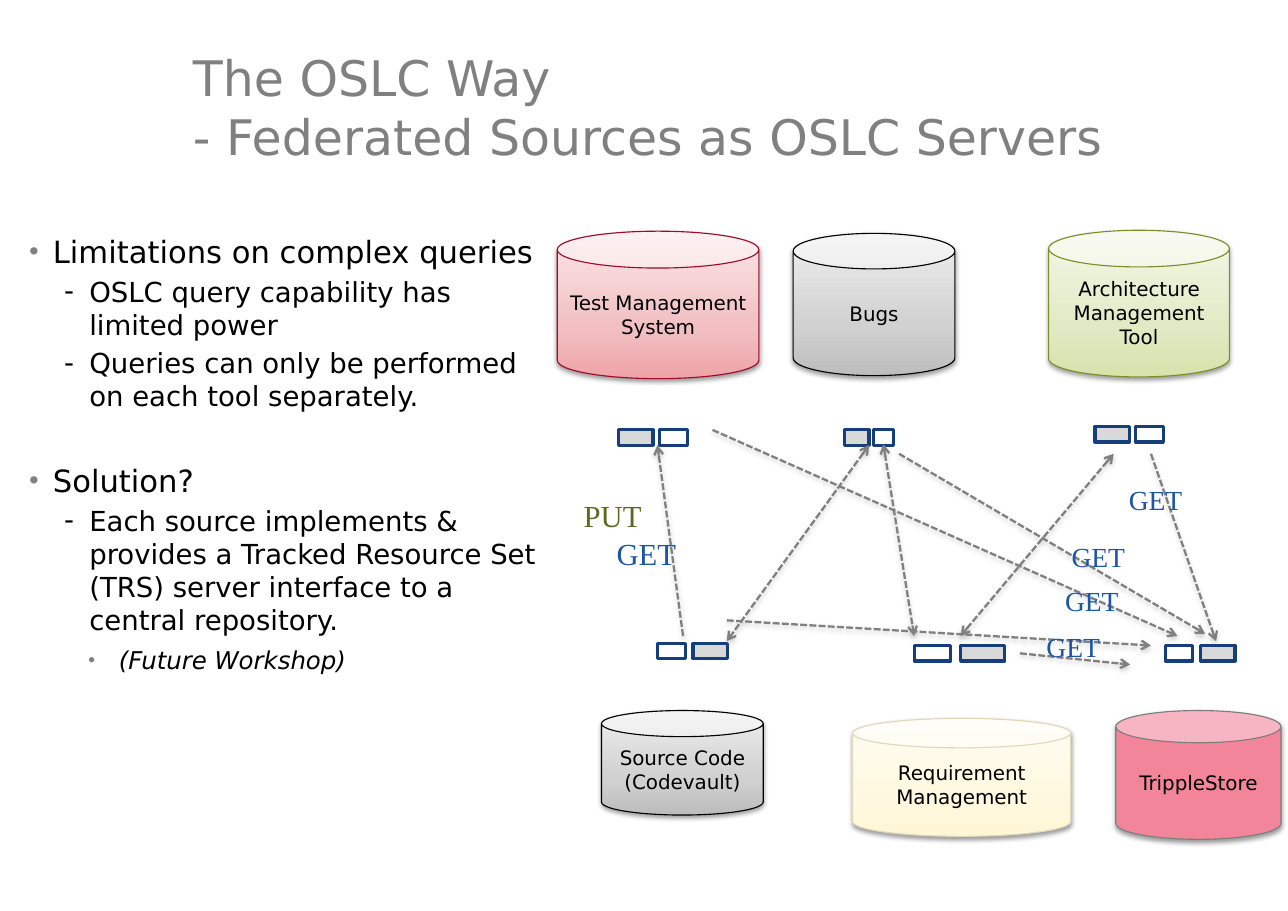
from copy import deepcopy

from pptx import Presentation
from pptx import util as u
from pptx.dml.color import RGBColor
from pptx.enum import dml, shapes, text
from pptx.oxml import parse_xml
from pptx.oxml.ns import nsdecls, qn

SANS, SERIF = "DejaVu Sans", "Times New Roman"
BLACK = RGBColor(0x00, 0x00, 0x00)
WHITE = RGBColor(0xFF, 0xFF, 0xFF)
GREY = RGBColor(0x80, 0x80, 0x80)
LIGHT_GREY = RGBColor(0xD9, 0xD9, 0xD9)
NAVY = RGBColor(0x15, 0x3E, 0x7B)
BLUE = RGBColor(0x1C, 0x54, 0xA6)
OLIVE = RGBColor(0x5F, 0x6A, 0x20)
CRIMSON = RGBColor(0x9D, 0x0C, 0x2A)
MOSS = RGBColor(0x7E, 0x8D, 0x28)
SAND = RGBColor(0xDF, 0xD8, 0xBB)
STONE = RGBColor(0x7D, 0x7D, 0x7D)
# Can fills, from bottom to top
SILVERS = RGBColor(0xBD, 0xBD, 0xBD), RGBColor(0xD1, 0xD1, 0xD1), RGBColor(0xEE, 0xEE, 0xEE)
REDS = RGBColor(0xEE, 0xA4, 0xA8), RGBColor(0xF2, 0xC0, 0xC3), RGBColor(0xFB, 0xE6, 0xE7)
GREENS = RGBColor(0xD6, 0xE3, 0xAB), RGBColor(0xE2, 0xEA, 0xC5), RGBColor(0xF4, 0xF8, 0xE8)
CREAMS = RGBColor(0xFF, 0xF6, 0xD5), RGBColor(0xFF, 0xF8, 0xE0), RGBColor(0xFF, 0xFC, 0xF3)
PINKS = (RGBColor(0xF3, 0x85, 0x9B),)

# Bullet levels: left margin, hanging indent, mark, text format
LEVELS = [
    (0.56, 0.56, "•", {"size": u.Pt(20)}),
    (1.4, 0.58, "-", {"size": u.Pt(18)}),
    (2.08, 0.71, "•", {"size": u.Pt(16), "italic": True}),
]
# Level, space before in points, wording
POINTS = [
    (0, 0, "Limitations on complex queries"),
    (1, 3.6, "OSLC query capability has limited power"),
    (1, 3.6, "Queries can only be performed on each tool separately."),
    (0, 32, "Solution?"),
    (1, 3.6, "Each source implements & provides a Tracked Resource Set (TRS) "
             "server interface to a central repository."),
    (2, 6, "(Future Workshop)"),
]
# Left, top, width, height, fills, outline, wording
CANS = [
    (0.05, 0.03, 4.65, 3.4, REDS, CRIMSON, "Test Management System"),
    (5.49, 0.08, 3.73, 3.28, SILVERS, BLACK, "Bugs"),
    (11.38, 0.01, 4.17, 3.38, GREENS, MOSS, "Architecture Management Tool"),
    (1.07, 11.08, 3.73, 2.41, SILVERS, BLACK, "Source Code\n(Codevault)"),
    (6.86, 11.26, 5.03, 2.72, CREAMS, SAND, "Requirement Management"),
    (12.93, 11.08, 3.81, 2.97, PINKS, STONE, "TrippleStore"),
]
# Left, top, gap, then width and fill of the two ports
PORTS = [
    (1.47, 4.61, 0.15, (0.79, LIGHT_GREY), (0.64, WHITE)),
    (6.68, 4.61, 0.1, (0.56, LIGHT_GREY), (0.46, WHITE)),
    (12.45, 4.53, 0.15, (0.79, LIGHT_GREY), (0.64, WHITE)),
    (2.36, 9.53, 0.18, (0.64, WHITE), (0.79, LIGHT_GREY)),
    (8.28, 9.58, 0.23, (0.84, WHITE), (1.02, LIGHT_GREY)),
    (14.07, 9.58, 0.18, (0.64, WHITE), (0.79, LIGHT_GREY)),
]
# From, to, arrowheads
ONE_WAY, TWO_WAY = ("tailEnd",), ("headEnd", "tailEnd")
ARROWS = [
    (2.95, 9.36, 2.36, 4.96, ONE_WAY),
    (7.24, 4.96, 3.96, 9.48, TWO_WAY),
    (12.88, 5.16, 9.35, 9.36, TWO_WAY),
    (13.74, 5.16, 15.24, 9.48, ONE_WAY),
    (7.57, 4.94, 8.28, 9.36, TWO_WAY),
    (7.93, 5.16, 14.99, 9.31, ONE_WAY),
    (10.72, 9.76, 13.26, 10.02, ONE_WAY),
    (3.96, 9, 13.74, 9.58, ONE_WAY),
    (3.63, 4.61, 14.35, 9.36, ONE_WAY),
]
# Left, top, wording, size, colour
CALLS = [
    (12.98, 5.7, "GET", 18, BLUE),
    (11.66, 7.02, "GET", 18, BLUE),
    (11.51, 8.04, "GET", 18, BLUE),
    (11.08, 9.1, "GET", 18, BLUE),
    (0.41, 6.03, "PUT", 20, OLIVE),
    (1.17, 6.89, "GET", 20, BLUE),
]


def apply(target, values):
    for name, value in values.items():
        setattr(target, name, value)


def set_font(span, color, **values):
    apply(span.font, values)
    span.font.color.rgb = color


def set_frame(frame, left, top, right, bottom, **values):
    sides = {"margin_left": left, "margin_top": top, "margin_right": right, "margin_bottom": bottom}
    apply(frame, {name: u.Cm(size) for name, size in sides.items()})
    apply(frame, {"word_wrap": True, "auto_size": text.MSO_AUTO_SIZE.NONE, **values})


def add_shadow(properties, color):
    """Put a soft downward shadow into the shape properties."""
    for empty in properties.findall(qn("a:effectLst")):
        properties.remove(empty)
    properties.append(parse_xml(
        f'<a:effectLst {nsdecls("a")}><a:outerShdw blurRad="40000" dist="20000" dir="5400000" '
        f'rotWithShape="0"><a:srgbClr val="{color}"><a:alpha val="38000"/></a:srgbClr>'
        '</a:outerShdw></a:effectLst>'))


def add_bullet(para, level):
    margin, hang, mark, _ = LEVELS[level]
    properties = para._p.get_or_add_pPr()
    properties.set("marL", str(u.Cm(margin)))
    properties.set("indent", str(-u.Cm(hang)))
    color, face = (GREY, SERIF) if mark == "•" else (BLACK, SANS)
    percent = 90 if level == 2 else 100
    for bullet in (f'<a:buClr {nsdecls("a")}><a:srgbClr val="{color}"/></a:buClr>',
                   f'<a:buSzPct {nsdecls("a")} val="{percent * 1000}"/>',
                   f'<a:buFont {nsdecls("a")} typeface="{face}"/>',
                   f'<a:buChar {nsdecls("a")} char="{mark}"/>'):
        properties.append(parse_xml(bullet))


def write_title(page, box):
    title = page.shapes.title
    apply(title, dict(zip(("left", "top", "width", "height"), map(u.Cm, box))))
    set_frame(title.text_frame, 0, 0.15, 0.28, 0.15, vertical_anchor=text.MSO_ANCHOR.MIDDLE)
    title.text_frame.text = "The OSLC Way\v- Federated Sources as OSLC Servers"
    para = title.text_frame.paragraphs[0]
    para.alignment = text.PP_ALIGN.LEFT
    for span in para.runs:
        set_font(span, GREY, name=SANS, size=u.Pt(32))


def write_points(page, box):
    frame = page.shapes.add_textbox(*map(u.Cm, box)).text_frame
    set_frame(frame, 0, 0.13, 0.25, 0.13)
    for number, (level, space, wording) in enumerate(POINTS):
        para = frame.add_paragraph() if number else frame.paragraphs[0]
        add_bullet(para, level)
        apply(para, {"level": level, "space_before": u.Pt(space)})
        span = para.add_run()
        span.text = wording
        set_font(span, BLACK, name=SANS, **LEVELS[level][3])


def fill_can(can, fills):
    if len(fills) == 1:
        can.fill.solid()
        can.fill.fore_color.rgb = fills[0]
        return
    can.fill.gradient()
    can.fill.gradient_angle = 90
    stops = next(can._element.spPr.iter(qn("a:gsLst")))
    stops.append(deepcopy(stops[0]))
    for stop, position, color in zip(can.fill.gradient_stops, (0, 0.35, 1), fills):
        stop.position = position
        stop.color.rgb = color


def add_can(page, place, fills, outline, wording):
    can = page.shapes.add_shape(shapes.MSO_SHAPE.CAN, *place)
    fill_can(can, fills)
    can.line.color.rgb = outline
    can.line.width = u.Pt(0.75)
    can.shadow.inherit = False
    add_shadow(can._element.spPr, BLACK)
    set_frame(can.text_frame, 0.28, 0.15, 0.28, 0.15, vertical_anchor=text.MSO_ANCHOR.MIDDLE)
    can.text_frame.text = wording
    for para in can.text_frame.paragraphs:
        para.alignment = text.PP_ALIGN.CENTER
        set_font(para.runs[0], BLACK, name=SANS, size=u.Pt(13))


def add_ports(page, left, top, gap, ports):
    group = page.shapes.add_group_shape()
    for width, color in ports:
        port = group.shapes.add_shape(
            shapes.MSO_SHAPE.RECTANGLE, *map(u.Cm, (left, top, width, 0.36)))
        port.shadow.inherit = False
        port.fill.solid()
        port.fill.fore_color.rgb = color
        port.line.color.rgb = NAVY
        port.line.width = u.Pt(2)
        left += width + gap


def add_arrow(page, ends, heads):
    arrow = page.shapes.add_connector(shapes.MSO_CONNECTOR.STRAIGHT, *ends)
    arrow.line.color.rgb = GREY
    apply(arrow.line, {"width": u.Pt(1.5), "dash_style": dml.MSO_LINE.SQUARE_DOT})
    properties = arrow._element.spPr
    for head in heads:
        properties.find(qn("a:ln")).append(parse_xml(f'<a:{head} {nsdecls("a")} type="arrow"/>'))
    add_shadow(properties, GREY)


def add_call(page, left, top, wording, size, color):
    width, height = (1.85, 1.02) if size == 18 else (2.1, 1.12)
    frame = page.shapes.add_textbox(*map(u.Cm, (left, top, width, height))).text_frame
    set_frame(frame, 0.25, 0.13, 0, 0.13, word_wrap=False)
    frame.text = wording
    set_font(frame.paragraphs[0].runs[0], color, name=SERIF, size=u.Pt(size))
    frame.paragraphs[0].alignment = text.PP_ALIGN.LEFT


def draw_servers(page, left, top):
    """Draw the tools, their ports and the requests between them from one corner."""
    for x, y, width, height, *look in CANS:
        add_can(page, [u.Cm(n) for n in (left + x, top + y, width, height)], *look)
    for x, y, gap, *ports in PORTS:
        add_ports(page, left + x, top + y, gap, ports)
    for x1, y1, x2, y2, heads in ARROWS:
        add_arrow(page, [u.Cm(n) for n in (left + x1, top + y1, left + x2, top + y2)], heads)
    for x, y, *call in CALLS:
        add_call(page, left + x, top + y, *call)


def main():
    deck = Presentation()
    apply(deck, {"slide_width": u.Cm(29.7), "slide_height": u.Cm(21)})
    page = deck.slides.add_slide(deck.slide_layouts[5])
    write_title(page, (4.45, 0.97, 24, 2.97))
    write_points(page, (0.66, 5.23, 12.19, 12.42))
    draw_servers(page, 12.8, 5.3)
    deck.save("out.pptx")


if __name__ == "__main__":
    main()
